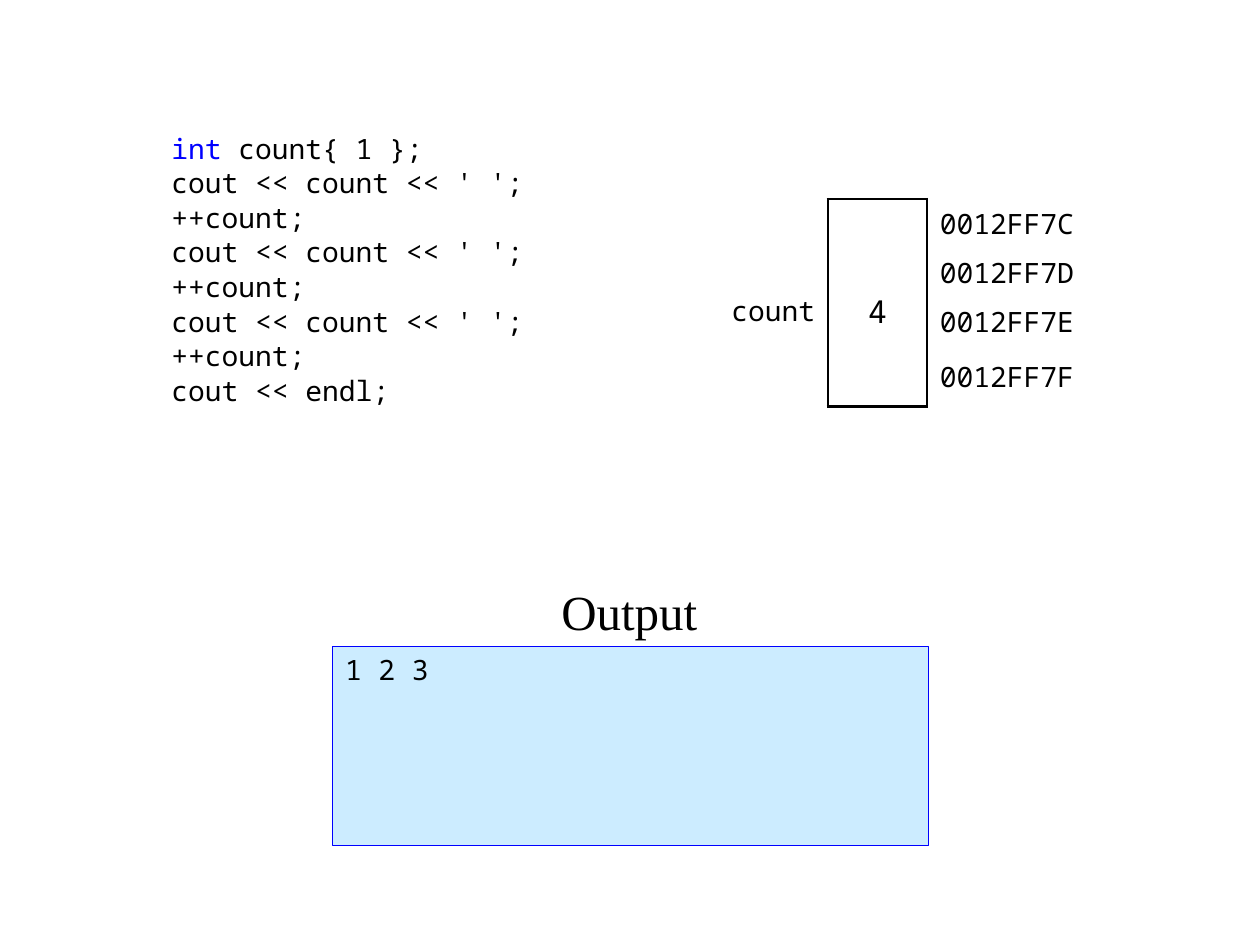
import pptx
import pptx.dml.color
import pptx.enum.shapes
import pptx.enum.text
import pptx.oxml
import pptx.oxml.ns
import pptx.util
from dataclasses import dataclass

Inches = pptx.util.Inches
Pt = pptx.util.Pt
ANCHOR = pptx.enum.text.MSO_ANCHOR
ALIGN = pptx.enum.text.PP_ALIGN


@dataclass(frozen=True)
class Theme:
    code_font: str = "Noto Sans Mono"
    heading_font: str = "Times New Roman"
    ink: str = "000000"
    keyword: str = "0000FF"
    console: str = "CCECFF"
    code_size: float = 16
    value_size: float = 18
    heading_size: float = 28
    gap: float = 0.6
    border: float = 1.5


theme = Theme()
rgb = pptx.dml.color.RGBColor.from_string


def add_run(paragraph, text, size=theme.code_size, font=theme.code_font, color=theme.ink):
    run = paragraph.add_run()
    run.text = text
    run.font.size = Pt(size)
    run.font.name = font
    run.font.color.rgb = rgb(color)
    paragraph.space_before = Pt(theme.gap)


def hang(paragraph, indent):
    """Give a paragraph a hanging indent and no bullet."""
    properties = paragraph._p.get_or_add_pPr()
    properties.set("marL", str(Inches(indent)))
    properties.set("indent", str(-Inches(indent)))
    properties.append(pptx.oxml.parse_xml(
        f'<a:buNone {pptx.oxml.ns.nsdecls("a")}/>'))


deck = pptx.Presentation()
deck.slide_width, deck.slide_height = Inches(10), Inches(7.5)
slide = deck.slides.add_slide(deck.slide_layouts[1])
unused_title = slide.shapes.title._element
unused_title.getparent().remove(unused_title)

# Code listing
listing = slide.placeholders[1]
listing.left, listing.top = Inches(1.26), Inches(0.99)
listing.width, listing.height = Inches(3.54), Inches(2.76)
listing.text_frame.vertical_anchor = ANCHOR.TOP
show_and_increment = ["cout << count << ' ';", "++count;"]
code_lines = ["int count{ 1 };"] + show_and_increment * 3 + ["cout << endl;"]
for number, code in enumerate(code_lines):
    line = listing.text_frame.add_paragraph() if number else listing.text_frame.paragraphs[0]
    if code.startswith("int "):
        add_run(line, "int ", color=theme.keyword)
        code = code.removeprefix("int ")
    add_run(line, code)
    hang(line, 0.69)

# Console output
console = slide.shapes.add_shape(
    pptx.enum.shapes.MSO_SHAPE.RECTANGLE,
    Inches(2.64), Inches(5.13), Inches(4.73), Inches(1.58))
console.shadow.inherit = False
console.fill.solid()
console.fill.fore_color.rgb = rgb(theme.console)
console.line.color.rgb = rgb(theme.keyword)
console.line.width = Pt(0.75)
console.text_frame.vertical_anchor = ANCHOR.TOP
printed = console.text_frame.paragraphs[0]
printed.alignment = ALIGN.LEFT
add_run(printed, "1 2 3")
hang(printed, 0.38)

# Memory diagram: name, value, byte addresses
addresses = ["0012FF7C", "0012FF7D", "0012FF7E", "0012FF7F"]
last = len(addresses) - 1
memory = slide.shapes.add_table(
    len(addresses), 3, Inches(5.39), Inches(1.58), Inches(3.35), Inches(1.56)).table
memory.first_row = memory.horz_banding = False
style = memory._tbl.tblPr.find(pptx.oxml.ns.qn("a:tableStyleId"))
style.text = "{2D5ABB26-0587-4C30-8999-92F81FD0307C}"
for column, width in zip(memory.columns, [1.18, 0.79, 1.38]):
    column.width = Inches(width)
for row in memory.rows:
    row.height = Inches(0.39)
for column in (0, 1):
    memory.cell(0, column).merge(memory.cell(last, column))

for row, address in enumerate(addresses):
    value_sides = "LR" + "T" * (row == 0) + "B" * (row in (0, last))
    for column, sides in enumerate(["R", value_sides, "L"]):
        cell = memory.cell(row, column)
        cell.vertical_anchor = ANCHOR.MIDDLE
        cell.margin_left = cell.margin_right = Inches(0.1)
        cell.margin_top = cell.margin_bottom = Inches(0.04 if column == 2 else 0)
        for side in sides:
            cell._tc.get_or_add_tcPr().append(pptx.oxml.parse_xml(
                f'<a:ln{side} {pptx.oxml.ns.nsdecls("a")} w="{Pt(theme.border)}">'
                f'<a:solidFill><a:srgbClr val="{theme.ink}"/></a:solidFill></a:ln{side}>'))
        cell.fill.background()
    add_run(memory.cell(row, 2).text_frame.paragraphs[0], address)

for column, text, size, alignment in [
        (0, "count", theme.code_size, ALIGN.RIGHT),
        (1, "4", theme.value_size, ALIGN.CENTER)]:
    entry = memory.cell(0, column).text_frame.paragraphs[0]
    entry.alignment = alignment
    entry.line_spacing = 1.4
    add_run(entry, text, size)

# Console heading
heading = slide.shapes.add_textbox(
    Inches(4.21), Inches(4.54), Inches(1.57), Inches(0.59)).text_frame
heading.word_wrap = False
heading.vertical_anchor = ANCHOR.BOTTOM
heading.paragraphs[0].alignment = ALIGN.CENTER
add_run(heading.paragraphs[0], "Output", theme.heading_size, theme.heading_font)

deck.save("out.pptx")
